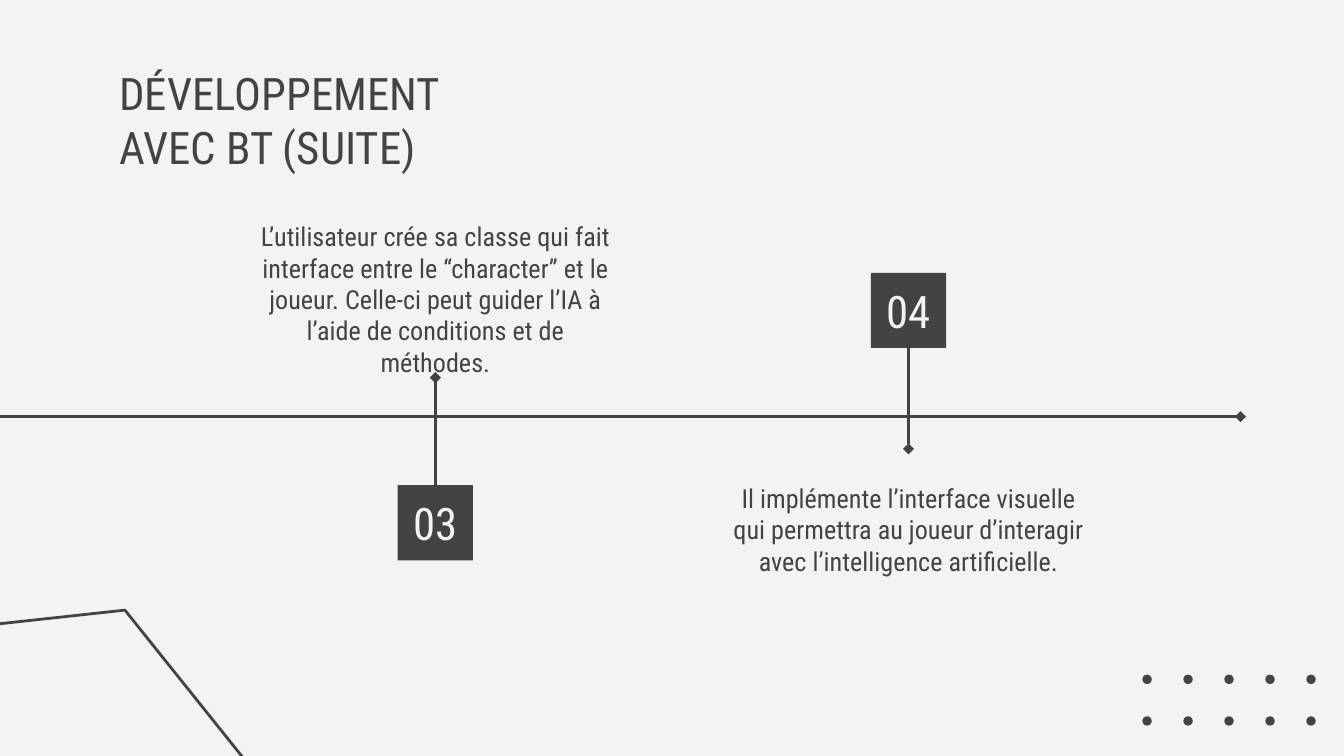
from lxml.etree import SubElement
from pptx import Presentation
from pptx.dml.color import RGBColor
from pptx.enum.shapes import MSO_CONNECTOR, MSO_SHAPE
from pptx.enum.text import MSO_ANCHOR, PP_ALIGN
from pptx.oxml.ns import qn
from pptx.util import Inches, Pt

COLORS = {"dark": "434343", "light": "F3F3F3"}
FONT = "Roboto Condensed"
LINE_WIDTH = Pt(1.5)

# Widescreen slide, 16:9
presentation = Presentation()
presentation.slide_width = Inches(10)
presentation.slide_height = Inches(10) * 9 // 16
slide = presentation.slides.add_slide(presentation.slide_layouts[6])
dark = RGBColor.from_string(COLORS["dark"])
slide.background.fill.solid()
slide.background.fill.fore_color.rgb = RGBColor.from_string(COLORS["light"])


def write_text(shape, text, size=14, color="dark", align=PP_ALIGN.CENTER,
               anchor=MSO_ANCHOR.TOP, top=0.1, bottom=0.1, space_after=0):
    frame = shape.text_frame
    frame.word_wrap = True
    frame.vertical_anchor = anchor
    frame.margin_left = frame.margin_right = Inches(0.1)
    frame.margin_top, frame.margin_bottom = Inches(top), Inches(bottom)
    paragraph = frame.paragraphs[0]
    paragraph.alignment = align
    paragraph.space_after = Pt(space_after)
    run = paragraph.add_run()
    run.text = text
    run.font.name = FONT
    run.font.size = Pt(size)
    run.font.color.rgb = RGBColor.from_string(COLORS[color])


def add_solid(kind, left, top, size):
    shape = slide.shapes.add_shape(
        kind, Inches(left), Inches(top), Inches(size), Inches(size))
    shape.shadow.inherit = False
    shape.fill.solid()
    shape.fill.fore_color.rgb = dark
    shape.line.fill.background()
    return shape


# Dot grid in the lower right corner
for row in range(2):
    for column in range(5):
        add_solid(MSO_SHAPE.OVAL, 8.5 + column * 0.305, 5.02 + row * 0.31, 0.07)

# Open outline in the lower left corner
builder = slide.shapes.build_freeform(Inches(-0.17), Inches(4.66))
builder.add_line_segments(
    [(Inches(0.93), Inches(4.54)), (Inches(1.81), Inches(5.64))], close=False)
outline = builder.convert_to_shape()
outline.shadow.inherit = False
outline.fill.background()
outline.line.color.rgb = dark
outline.line.width = LINE_WIDTH

# Title
title = slide.shapes.add_textbox(
    Inches(0.79), Inches(0.39), Inches(2.94), Inches(0.91))
write_text(title, "DÉVELOPPEMENT AVEC BT (SUITE)", size=24, align=PP_ALIGN.LEFT)

# Timeline axis and the stem of each step, ending in diamonds
for x1, y1, x2, y2 in [
    (0, 3.1, 9.23, 3.1),
    (6.76, 2.59, 6.76, 3.34),
    (3.24, 3.61, 3.24, 2.81),
]:
    connector = slide.shapes.add_connector(
        MSO_CONNECTOR.STRAIGHT, Inches(x1), Inches(y1), Inches(x2), Inches(y2))
    connector.line.color.rgb = dark
    connector.line.width = LINE_WIDTH
    SubElement(connector.line._get_or_add_ln(), qn("a:tailEnd"), type="diamond")
    SubElement(connector._element.spPr, qn("a:effectLst"))

# Numbered squares and step descriptions, centred on their stems
steps = [
    ("04", 6.76, 2.03, 3.34,
     "Il implémente l’interface visuelle qui permettra au joueur d’interagir "
     "avec l’intelligence artificielle.",
     {"top": 0.25}),
    ("03", 3.24, 3.61, 1.61,
     "L’utilisateur crée sa classe qui fait interface entre le “character” et "
     "le joueur. Celle-ci peut guider l’IA à l’aide de conditions et de méthodes.",
     {"anchor": MSO_ANCHOR.BOTTOM, "bottom": 0}),
]
for number, center, square_top, text_top, description, text_format in steps:
    square = add_solid(MSO_SHAPE.RECTANGLE, center - 0.28, square_top, 0.56)
    write_text(square, number, size=24, color="light", anchor=MSO_ANCHOR.MIDDLE)
    box = slide.shapes.add_textbox(
        Inches(center - 1.47), Inches(text_top), Inches(2.94), Inches(1.2))
    write_text(box, description, space_after=16, **text_format)

presentation.save("out.pptx")
